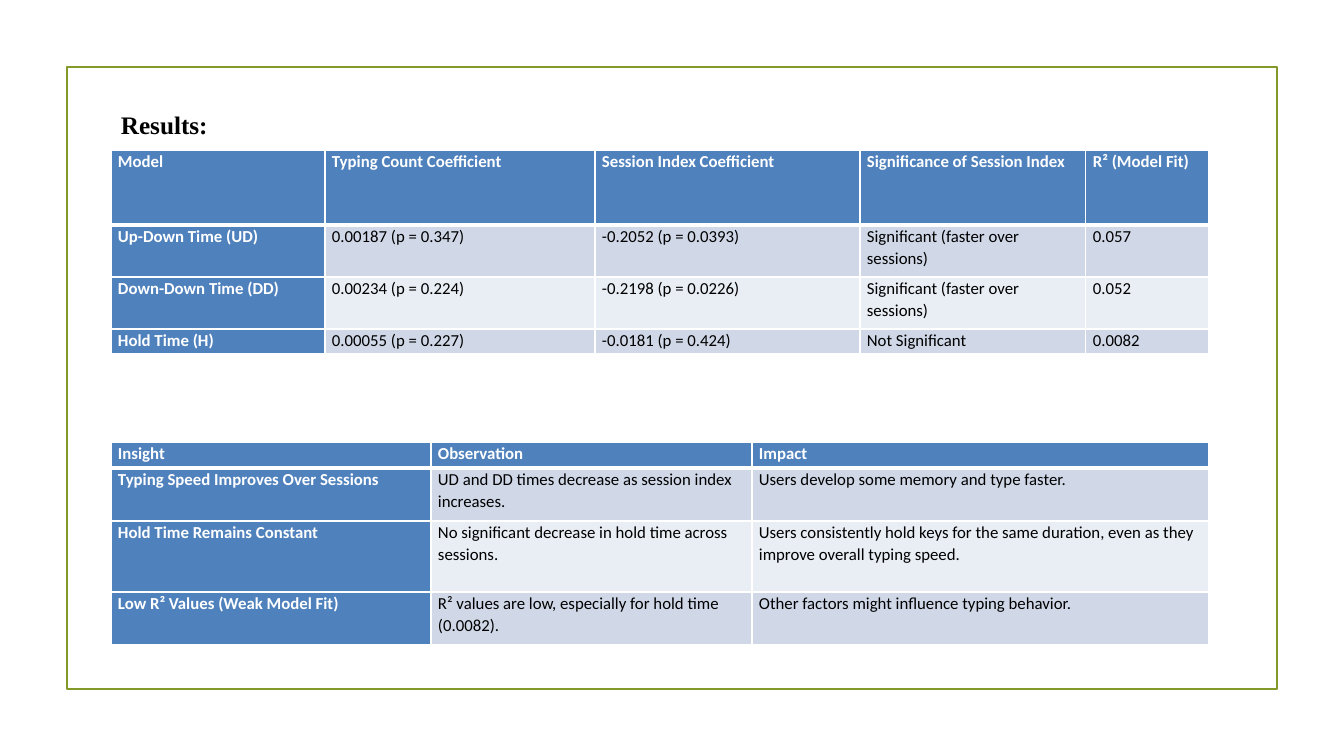
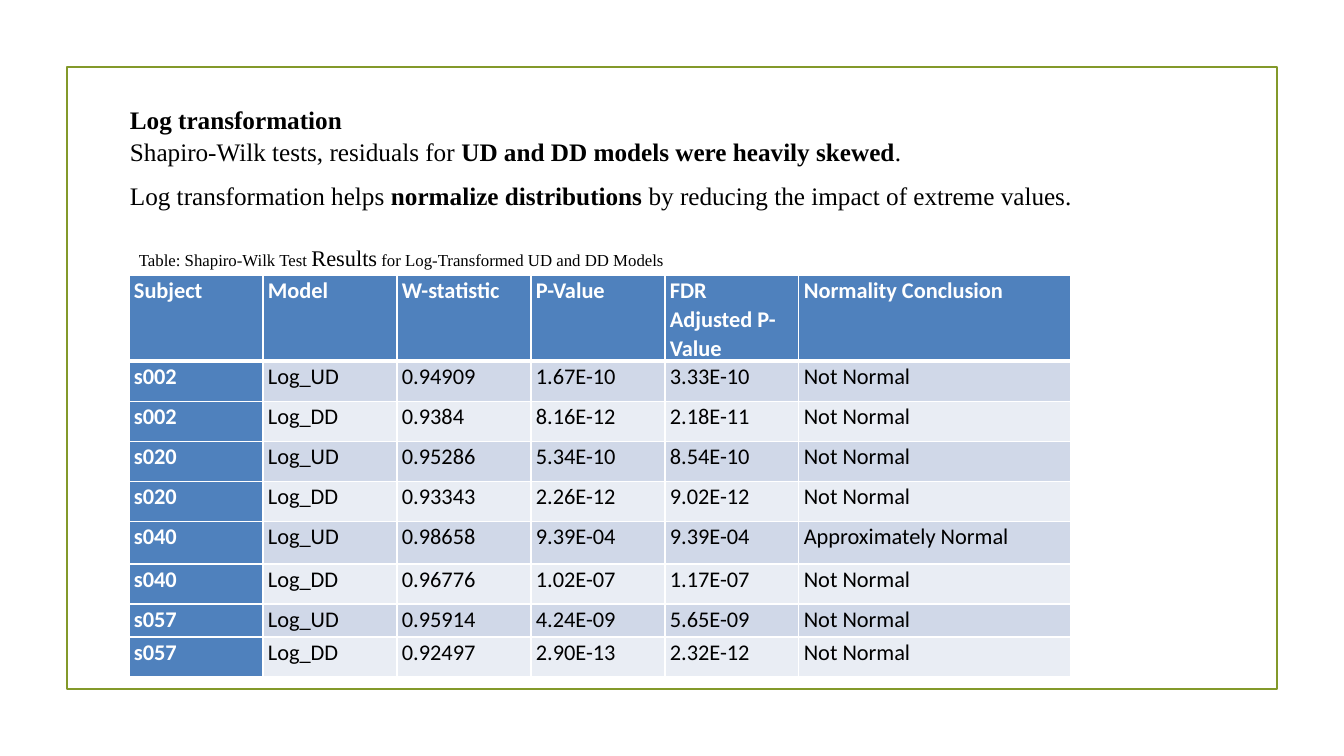
"""Build two slides of typing study results: model tables and the log transformation."""
import pptx
import pptx.dml.color
import pptx.enum.shapes
import pptx.enum.text
import pptx.oxml
import pptx.oxml.ns
import pptx.util

RGBColor = pptx.dml.color.RGBColor
OLIVE = RGBColor(0x83, 0x99, 0x2A)
BLUE = RGBColor(0x4F, 0x81, 0xBD)
BANDS = RGBColor(0xD0, 0xD8, 0xE8), RGBColor(0xE9, 0xED, 0xF4)
WHITE = RGBColor(0xFF, 0xFF, 0xFF)
BLACK = RGBColor(0x00, 0x00, 0x00)
SERIF, SANS = "Times New Roman", "Calibri"
EMU_PER_PX = 914400 / 100.8
SLIDE_SIZE = 1344, 756
FRAME = 67, 67, 1210, 622
LOOSE = {"line_spacing": 1.07, "space_after": pptx.util.Pt(8)}

MODELS = [
    ("Model", "Typing Count Coefficient", "Session Index Coefficient",
     "Significance of Session Index", "R² (Model Fit)"),
    ("Up-Down Time (UD)", "0.00187 (p = 0.347)", "-0.2052 (p = 0.0393)",
     "Significant (faster over sessions)", "0.057"),
    ("Down-Down Time (DD)", "0.00234 (p = 0.224)", "-0.2198 (p = 0.0226)",
     "Significant (faster over sessions)", "0.052"),
    ("Hold Time (H)", "0.00055 (p = 0.227)", "-0.0181 (p = 0.424)",
     "Not Significant", "0.0082"),
]
INSIGHTS = [
    ("Insight", "Observation", "Impact"),
    ("Typing Speed Improves Over Sessions",
     "UD and DD times decrease as session index increases.",
     "Users develop some memory and type faster."),
    ("Hold Time Remains Constant",
     "No significant decrease in hold time across sessions.",
     "Users consistently hold keys for the same duration, even as they improve "
     "overall typing speed."),
    ("Low R² Values (Weak Model Fit)",
     "R² values are low, especially for hold time (0.0082).",
     "Other factors might influence typing behavior."),
]
NORMALITY = [
    ("Subject", "Model", "W-statistic", "P-Value", "FDR Adjusted P-Value",
     "Normality Conclusion"),
    ("s002", "Log_UD", "0.94909", "1.67E-10", "3.33E-10", "Not Normal"),
    ("s002", "Log_DD", "0.9384", "8.16E-12", "2.18E-11", "Not Normal"),
    ("s020", "Log_UD", "0.95286", "5.34E-10", "8.54E-10", "Not Normal"),
    ("s020", "Log_DD", "0.93343", "2.26E-12", "9.02E-12", "Not Normal"),
    ("s040", "Log_UD", "0.98658", "9.39E-04", "9.39E-04", "Approximately Normal"),
    ("s040", "Log_DD", "0.96776", "1.02E-07", "1.17E-07", "Not Normal"),
    ("s057", "Log_UD", "0.95914", "4.24E-09", "5.65E-09", "Not Normal"),
    ("s057", "Log_DD", "0.92497", "2.90E-13", "2.32E-12", "Not Normal"),
]
SLIDES = [
    {
        "texts": [
            {"box": (111, 102, 120, 41), "size": 18,
             "paragraphs": [([("Results:", {"bold": True})], LOOSE)]},
        ],
        "tables": [
            {"at": (111, 150), "rows": MODELS, "size": 12, "inset": 7,
             "widths": (214, 270, 265, 226, 123), "heights": (75, 52, 52, 25)},
            {"at": (111, 442), "rows": INSIGHTS, "size": 12, "inset": 7,
             "widths": (320, 321, 457), "heights": (26, 53, 71, 53)},
        ],
    },
    {
        "texts": [
            {"box": (120, 99, 1062, 159), "size": 18, "paragraphs": [
                ([("Log transformation", {"bold": True})], {}),
                ([("Shapiro-Wilk tests, residuals for ", {}),
                  ("UD and DD models were heavily skewed", {"bold": True}),
                  (".", {})], LOOSE),
                ([("Log transformation helps ", {}),
                  ("normalize distributions", {"bold": True}),
                  (" by reducing the impact of extreme values.", {})], LOOSE),
            ]},
            {"box": (129, 237, 798, 37), "size": 12, "paragraphs": [
                ([("Table: Shapiro-Wilk Test ", {}),
                  ("Results", {"size": pptx.util.Pt(16)}),
                  (" for Log-Transformed UD and DD Models", {})], LOOSE),
            ]},
        ],
        "tables": [
            {"at": (129, 275), "rows": NORMALITY, "size": 16, "inset": 5,
             "widths": (134,) * 5 + (272,),
             "heights": (80, 40, 40, 40, 40, 43, 40, 33, 40)},
        ],
    },
]


def px(*lengths):
    return [pptx.util.Emu(round(length * EMU_PER_PX)) for length in lengths]


def set_font(font, name, size, color, bold=False):
    font.name, font.size, font.bold = name, pptx.util.Pt(size), bold
    font.color.rgb = color


def set_spacing(paragraph, spacing):
    for attribute, amount in spacing.items():
        setattr(paragraph, attribute, amount)


def add_frame(slide):
    frame = slide.shapes.add_shape(
        pptx.enum.shapes.MSO_SHAPE.RECTANGLE, *px(*FRAME))
    frame.shadow.inherit = False
    frame.fill.background()
    frame.line.color.rgb = OLIVE
    frame.line.width = pptx.util.Pt(1.25)


def add_text(slide, box, size, paragraphs):
    text_frame = slide.shapes.add_textbox(*px(*box)).text_frame
    text_frame.word_wrap = True
    text_frame.auto_size = pptx.enum.text.MSO_AUTO_SIZE.SHAPE_TO_FIT_TEXT
    for index, (parts, spacing) in enumerate(paragraphs):
        paragraph = text_frame.add_paragraph() if index else text_frame.paragraphs[0]
        set_spacing(paragraph, spacing)
        set_font(paragraph.font, SERIF, size, BLACK)
        for words, emphasis in parts:
            run = paragraph.add_run()
            run.text = words
            for attribute, setting in emphasis.items():
                setattr(run.font, attribute, setting)


def add_borders(cell, row):
    widths = {"L": 1, "R": 1, "T": 3 if row == 1 else 1, "B": 3 if row == 0 else 1}
    for side, points in widths.items():
        cell._tc.get_or_add_tcPr().append(pptx.oxml.parse_xml(
            f'<a:ln{side} {pptx.oxml.ns.nsdecls("a")} w="{pptx.util.Pt(points)}">'
            f'<a:solidFill><a:srgbClr val="{WHITE}"/></a:solidFill></a:ln{side}>'))


def add_grid(slide, at, rows, size, inset, widths, heights):
    table = slide.shapes.add_table(
        len(rows), len(widths), *px(*at, sum(widths), sum(heights))).table
    table.first_col = True
    for column, width in zip(table.columns, px(*widths)):
        column.width = width
    for line, height in zip(table.rows, px(*heights)):
        line.height = height
    for r, entries in enumerate(rows):
        for c, entry in enumerate(entries):
            cell = table.cell(r, c)
            heading = r == 0 or c == 0
            cell.margin_left, cell.margin_right = px(inset, inset)
            cell.margin_top = cell.margin_bottom = 0
            add_borders(cell, r)
            cell.fill.solid()
            cell.fill.fore_color.rgb = BLUE if heading else BANDS[(r - 1) % 2]
            cell.text = entry
            paragraph = cell.text_frame.paragraphs[0]
            set_spacing(paragraph, LOOSE)
            set_font(paragraph.font, SANS, size, WHITE if heading else BLACK, heading)


def main():
    deck = pptx.Presentation()
    deck.slide_width, deck.slide_height = px(*SLIDE_SIZE)
    for content in SLIDES:
        slide = deck.slides.add_slide(deck.slide_layouts[6])
        add_frame(slide)
        for text in content["texts"]:
            add_text(slide, **text)
        for grid in content["tables"]:
            add_grid(slide, **grid)
    deck.save("out.pptx")


if __name__ == "__main__":
    main()
